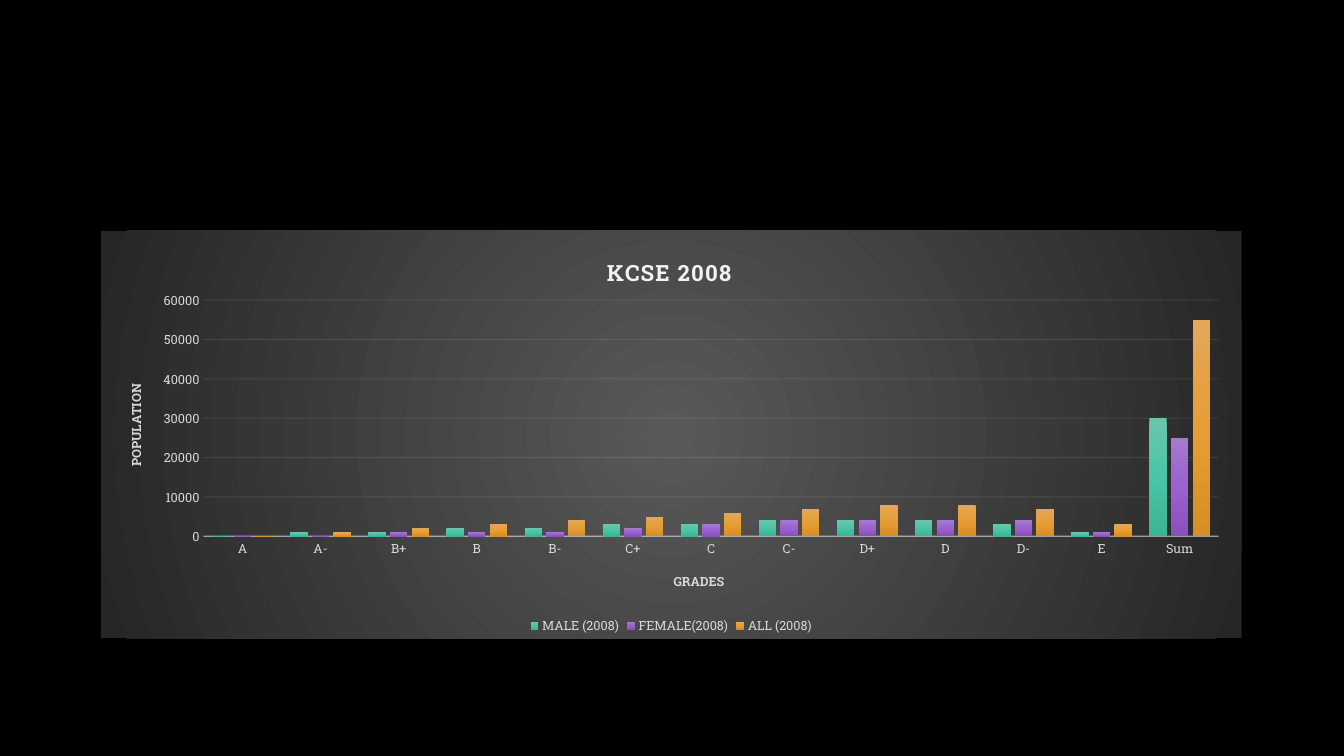
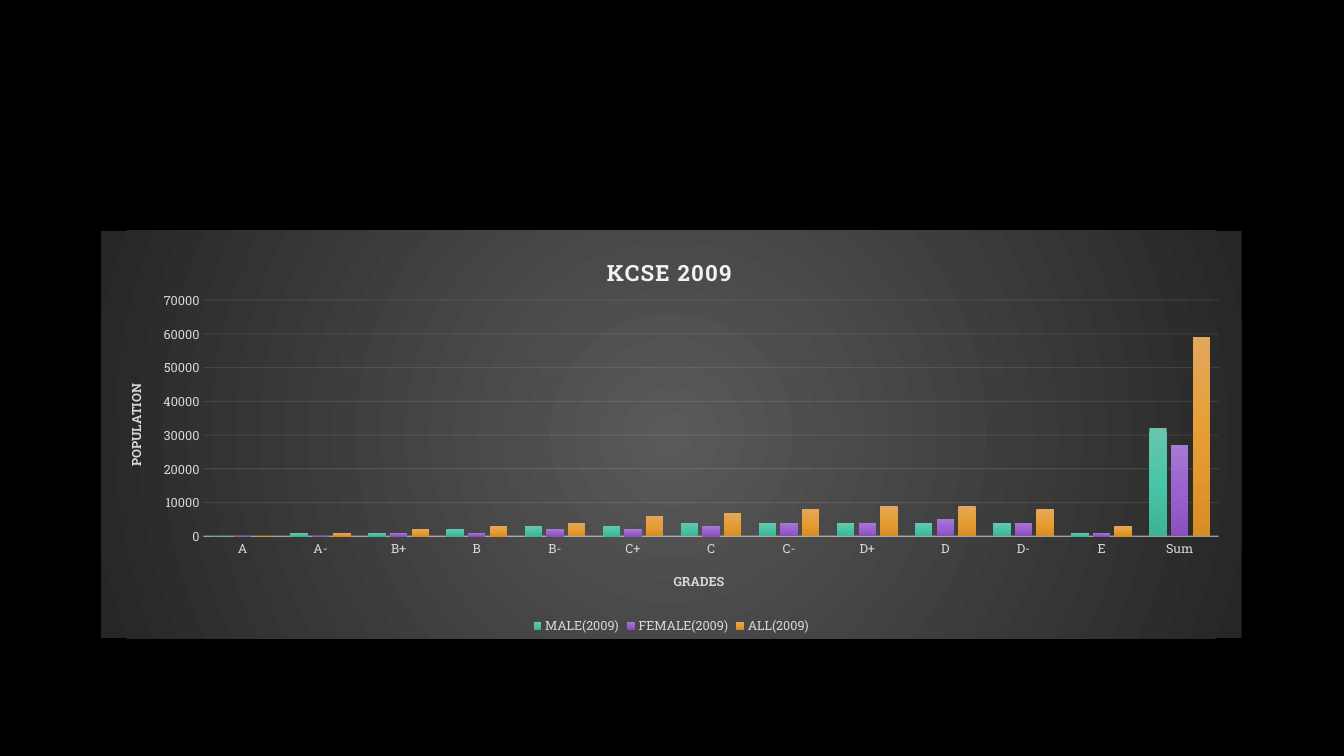
"""Builds two slides that chart KCSE grades by gender for 2008 and 2009."""
from dataclasses import dataclass
from typing import Any

from lxml import etree
from pptx import Presentation
from pptx.chart.data import CategoryChartData
from pptx.dml.color import RGBColor
from pptx.enum.chart import XL_CHART_TYPE as ChartType
from pptx.enum.chart import XL_LEGEND_POSITION as LegendPosition
from pptx.enum.chart import XL_TICK_MARK as TickMark
from pptx.oxml.ns import qn
from pptx.util import Cm, Pt

BLACK = RGBColor(0x00, 0x00, 0x00)
WHITE = RGBColor(0xFF, 0xFF, 0xFF)
PALE = RGBColor(0xF2, 0xF2, 0xF2)
SILVER = RGBColor(0xD9, 0xD9, 0xD9)
PANEL_CENTRE = RGBColor(0x59, 0x59, 0x59)
PANEL_EDGE = RGBColor(0x26, 0x26, 0x26)
GREENS = (RGBColor(0x69, 0xC6, 0xAD), RGBColor(0x4A, 0xC4, 0xA6), RGBColor(0x3C, 0xB4, 0x96))
PURPLES = (RGBColor(0xA5, 0x7A, 0xD0), RGBColor(0x9A, 0x61, 0xCF), RGBColor(0x89, 0x50, 0xBE))
ORANGES = (RGBColor(0xE3, 0xA7, 0x5C), RGBColor(0xE6, 0x9E, 0x34), RGBColor(0xD6, 0x8E, 0x25))
BAR_GRADIENTS = (GREENS, PURPLES, ORANGES)

FONT = "Roboto Slab"
BASE_FONT = {"name": FONT, "size": Pt(10), "rgb": WHITE}
LABEL_FONT = {"name": FONT, "size": Pt(9), "rgb": SILVER}
AXIS_TITLE_FONT = {**LABEL_FONT, "bold": True}
TITLE_FONT = {"name": FONT, "size": Pt(16), "bold": True, "rgb": PALE}

GRADES = ("A", "A-", "B+", "B", "B-", "C+", "C", "C-", "D+", "D", "D-", "E", "Sum")


@dataclass(frozen=True)
class GradeSeries:
    name: str
    thousands: tuple[int, ...]


@dataclass(frozen=True)
class ExamYear:
    title: str
    axis_maximum: int
    series: tuple[GradeSeries, ...]


EXAM_YEARS = (
    ExamYear("KCSE 2008", 60000, (
        GradeSeries("MALE (2008)", (0, 1, 1, 2, 2, 3, 3, 4, 4, 4, 3, 1, 30)),
        GradeSeries("FEMALE(2008)", (0, 0, 1, 1, 1, 2, 3, 4, 4, 4, 4, 1, 25)),
        GradeSeries("ALL (2008)", (0, 1, 2, 3, 4, 5, 6, 7, 8, 8, 7, 3, 55)),
    )),
    ExamYear("KCSE 2009", 70000, (
        GradeSeries("MALE(2009)", (0, 1, 1, 2, 3, 3, 4, 4, 4, 4, 4, 1, 32)),
        GradeSeries("FEMALE(2009)", (0, 0, 1, 1, 2, 2, 3, 4, 4, 5, 4, 1, 27)),
        GradeSeries("ALL(2009)", (0, 1, 2, 3, 4, 6, 7, 8, 9, 9, 8, 3, 59)),
    )),
)


def set_font(font: Any, values: dict[str, Any]) -> None:
    for name, value in values.items():
        if name == "rgb":
            font.color.rgb = value
        else:
            setattr(font, name, value)


def add_gradient(properties: Any, colors: tuple[RGBColor, ...], radial: bool = False) -> None:
    gradient = etree.SubElement(properties, qn("a:gradFill"), rotWithShape="1")
    stops = etree.SubElement(gradient, qn("a:gsLst"))
    for index, color in enumerate(colors):
        position = 100000 * index // (len(colors) - 1)
        stop = etree.SubElement(stops, qn("a:gs"), pos=str(position))
        etree.SubElement(stop, qn("a:srgbClr"), val=str(color))
    if radial:
        shade = etree.SubElement(gradient, qn("a:path"), path="circle")
        sides = dict.fromkeys(("l", "t", "r", "b"), "50000")
        etree.SubElement(shade, qn("a:fillToRect"), sides)
    else:
        etree.SubElement(gradient, qn("a:lin"), ang="5400000", scaled="0")


def set_layout(parent: Any, **fractions: float) -> None:
    layout = parent.find(qn("c:layout"))
    if layout is None:
        layout = etree.Element(qn("c:layout"))
        parent.insert(0, layout)
    manual = etree.SubElement(layout, qn("c:manualLayout"))
    if "w" in fractions:
        etree.SubElement(manual, qn("c:layoutTarget"), val="inner")
    for mode in ("xMode", "yMode"):
        etree.SubElement(manual, qn(f"c:{mode}"), val="edge")
    for name, value in fractions.items():
        etree.SubElement(manual, qn(f"c:{name}"), val=str(value))


def set_line(line: Any, element: Any, width: float, opacity: int) -> None:
    line.color.rgb = PALE
    line.width = Pt(width)
    for color in element.find(qn("c:spPr")).iter(qn("a:srgbClr")):
        etree.SubElement(color, qn("a:alpha"), val=str(opacity * 1000))


def set_title(owner: Any, parent: Any, text: str, font: dict[str, Any], x: float, y: float) -> Any:
    frame = (owner.chart_title if hasattr(owner, "chart_title") else owner.axis_title).text_frame
    run = frame.paragraphs[0].add_run()
    run.text = text
    set_font(run.font, font)
    title = parent.find(qn("c:title"))
    set_layout(title, x=x, y=y)
    return title


def format_axes(chart: Any, maximum: int) -> None:
    category_axis, value_axis = chart.category_axis, chart.value_axis
    for axis in (category_axis, value_axis):
        axis.major_tick_mark = axis.minor_tick_mark = TickMark.NONE
        set_font(axis.tick_labels.font, LABEL_FONT)
    value_axis.minimum_scale, value_axis.maximum_scale = 0, maximum
    value_axis.major_unit = 10000
    value_axis.format.line.fill.background()

    plot_area = chart.element.find(f".//{qn('c:plotArea')}")
    category_element = plot_area.find(qn("c:catAx"))
    value_element = plot_area.find(qn("c:valAx"))
    set_layout(plot_area, x=0.09, y=0.17, w=0.89, h=0.58)
    set_line(category_axis.format.line, category_element, 1, 54)
    gridlines = value_axis.major_gridlines
    set_line(gridlines.format.line, value_element.find(qn("c:majorGridlines")), 0.75, 10)
    set_title(category_axis, category_element, "GRADES", AXIS_TITLE_FONT, 0.5, 0.83)
    population = set_title(value_axis, value_element, "POPULATION", AXIS_TITLE_FONT, 0.02, 0.37)
    for body in population.iter(qn("a:bodyPr")):
        body.set("rot", "-5400000")
        body.set("vert", "horz")


def add_grade_chart(slide: Any, year: ExamYear) -> None:
    data = CategoryChartData(number_format="General")
    data.categories = GRADES
    for series in year.series:
        data.add_series(series.name, [value * 1000 for value in series.thousands])
    chart = slide.shapes.add_chart(
        ChartType.COLUMN_CLUSTERED, Cm(2.54), Cm(5.82), Cm(28.75), Cm(10.26), data
    ).chart
    set_font(chart.font, BASE_FONT)

    chart_element = chart.element.find(qn("c:chart"))
    panel = etree.Element(qn("c:spPr"))
    chart_element.addnext(panel)
    add_gradient(panel, (PANEL_CENTRE, PANEL_EDGE), radial=True)
    etree.SubElement(etree.SubElement(panel, qn("a:ln")), qn("a:noFill"))

    title = set_title(chart, chart_element, year.title, TITLE_FONT, 0.44, 0.05)
    for properties in title.iter(qn("a:rPr")):
        properties.set("spc", "100")

    chart.has_legend = True
    chart.legend.position = LegendPosition.BOTTOM
    chart.legend.include_in_layout = False
    set_font(chart.legend.font, LABEL_FONT)

    plot = chart.plots[0]
    plot.gap_width, plot.overlap = 100, -24
    plot.vary_by_categories = False
    for element, colors in zip(chart.element.iter(qn("c:ser")), BAR_GRADIENTS):
        add_gradient(element.get_or_add_spPr(), colors)
    format_axes(chart, year.axis_maximum)


def main() -> None:
    presentation = Presentation()
    presentation.slide_width, presentation.slide_height = Cm(33.87), Cm(19.05)
    background = presentation.slide_master.background.fill
    background.solid()
    background.fore_color.rgb = BLACK
    blank_layout = presentation.slide_layouts[6]
    for year in EXAM_YEARS:
        add_grade_chart(presentation.slides.add_slide(blank_layout), year)
    presentation.save("out.pptx")


if __name__ == "__main__":
    main()
